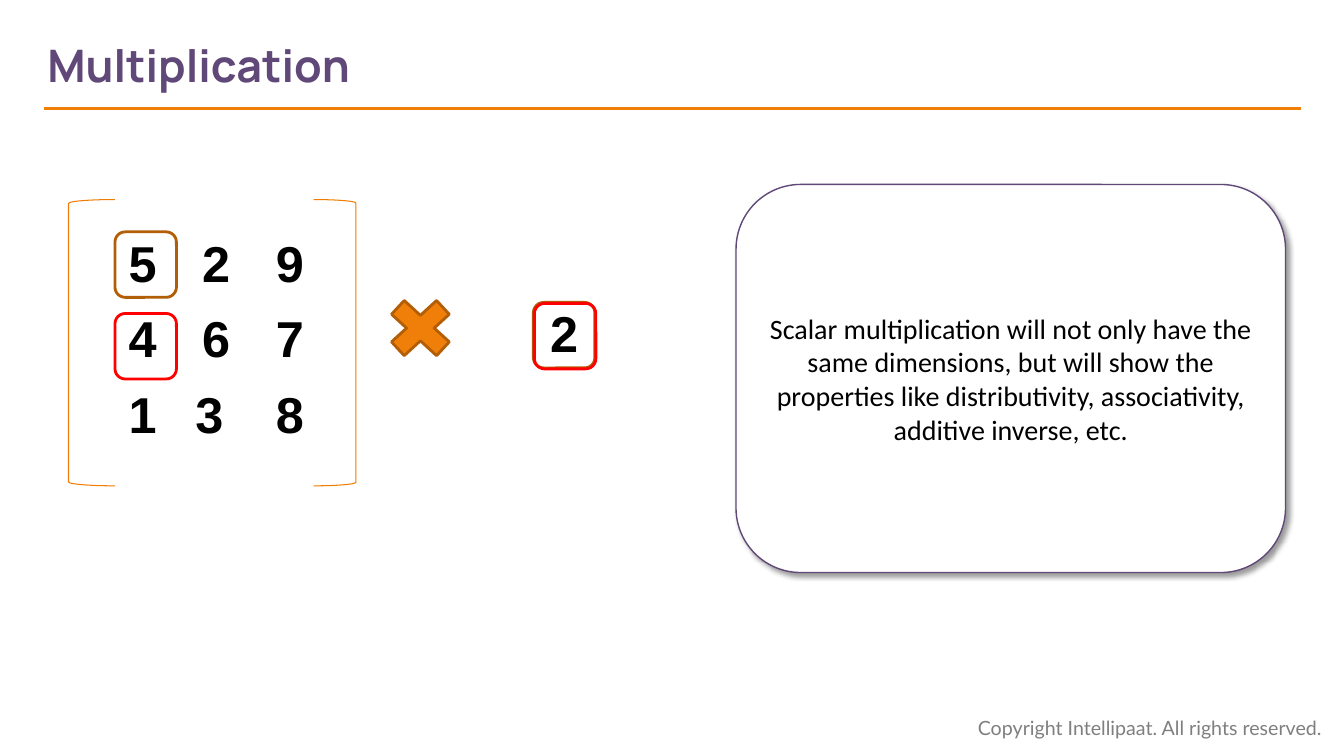
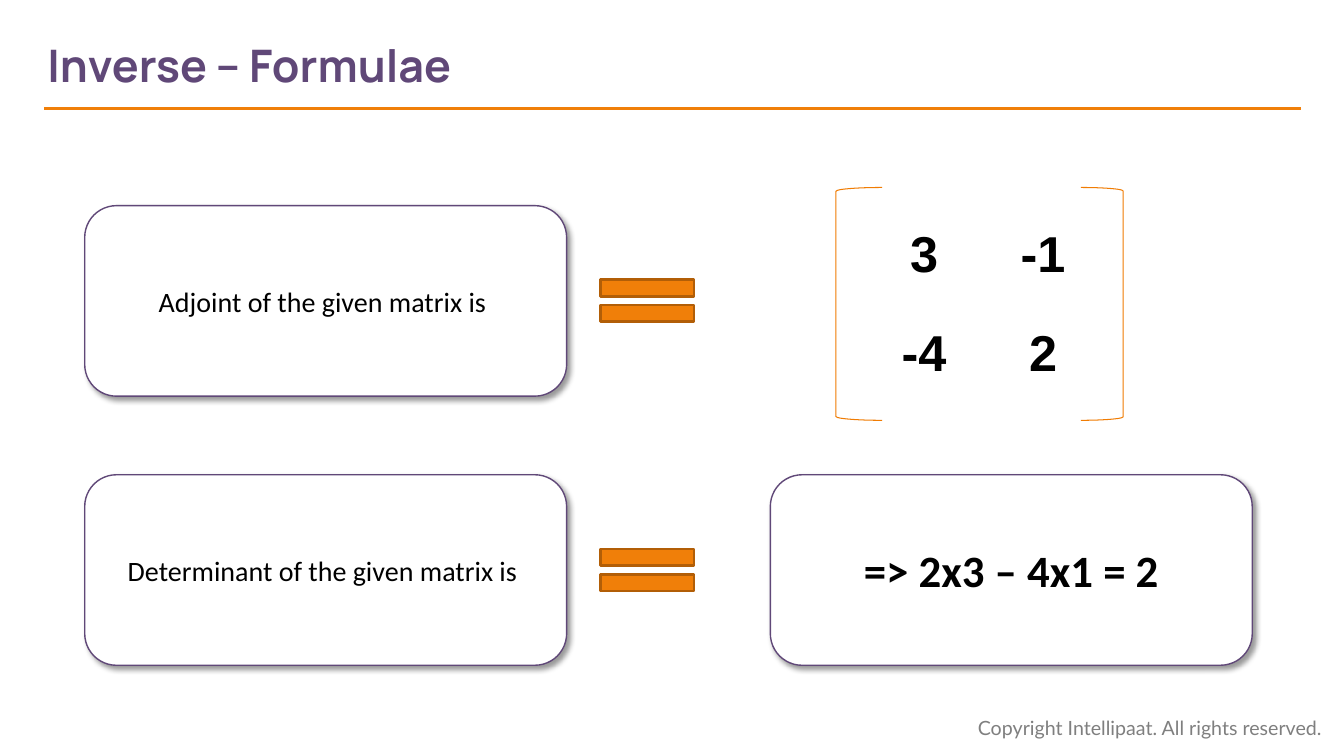
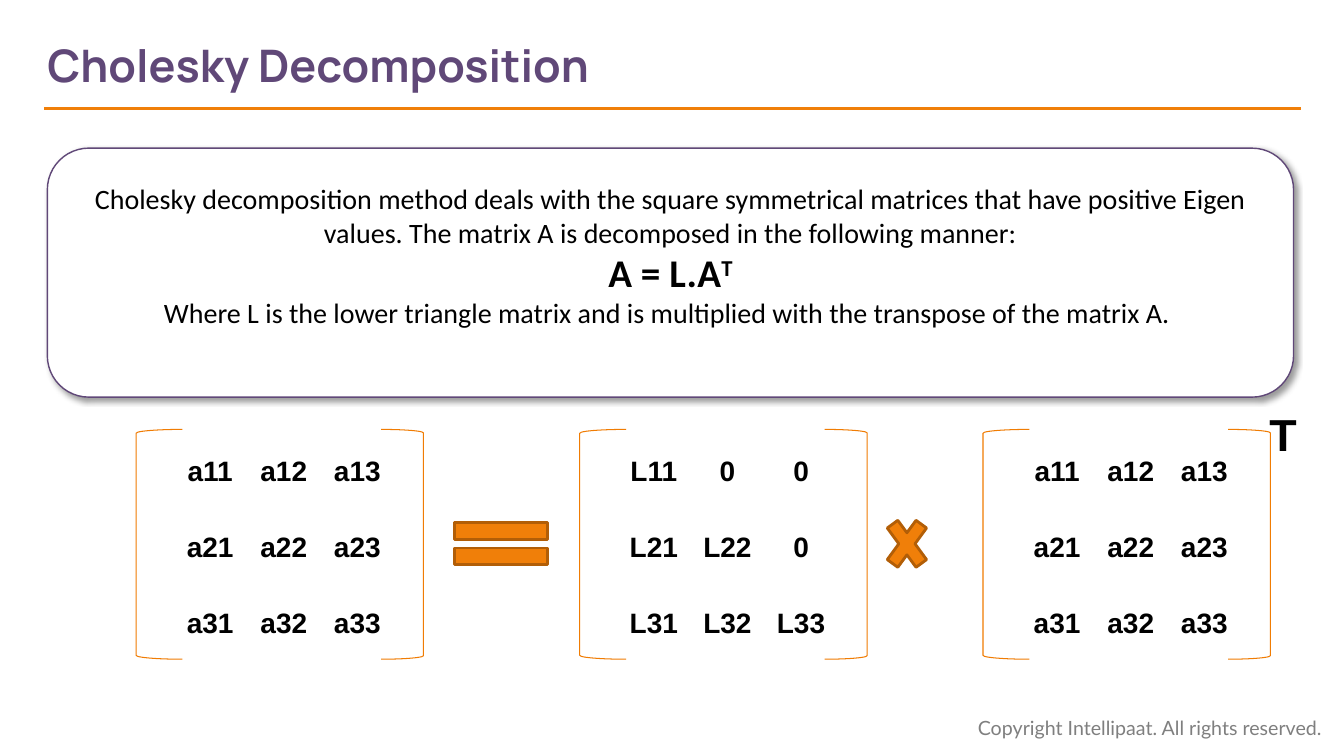
from pptx import Presentation
from pptx import util as u
from pptx.dml.color import RGBColor
from pptx.enum import shapes, text
from pptx.oxml import parse_xml
from pptx.oxml.ns import nsdecls, qn

WIDE, HIGH = 13.33, 7.5
PURPLE, ORANGE, RUST = "604878", "F07F09", "B25E07"
BRACE, RED, GREY, BLACK, WHITE = "F07C03", "FF0000", "7F7F7F", "000000", "FFFFFF"
KIND = shapes.MSO_SHAPE
LEFT, MID = text.PP_ALIGN.LEFT, text.PP_ALIGN.CENTER
FOOTER = "Copyright Intellipaat. All rights reserved."
PLAIN_TABLE = "{2D5ABB26-0587-4C30-8999-92F81FD0307C}"
SHADOW = (
    f'<a:outerShdw {nsdecls("a")} blurRad="50800" dist="38100" dir="2700000" '
    'algn="tl" rotWithShape="0"><a:srgbClr val="000000"><a:alpha val="40000"/>'
    "</a:srgbClr></a:outerShdw>"
)

# Matrices are lists of rows; a paragraph is a list of (text, size, bold, baseline).
NUMBERS = [["5", "2", "9"], ["4", "6", "7"], ["1", "3 ", "8"]]
ADJOINT = [["3", "-1"], ["-4", "2"]]
FULL = [["a11", "a12", "a13"], ["a21", "a22", "a23"], ["a31", "a32 ", "a33"]]
LOWER = [["L11", "0", "0"], ["L21", "L22", "0"], ["L31", "L32 ", "L33"]]

SCALAR = [[("Scalar multiplication will not only have the same dimensions, but will "
            "show the properties like distributivity, associativity, additive "
            "inverse, etc.", 20, False, 0)]]
FORMULAE = ["Adjoint of the given matrix is ", "Determinant of the given matrix is "]
RESULT = [[("=> 2x3 – 4x1 = 2", 32, True, 0)]]
CHOLESKY = [
    [("Cholesky decomposition method deals with the square symmetrical matrices that "
      "have positive Eigen values. The matrix A is decomposed in the following "
      "manner:", 20, False, 0)],
    [("A = L.A", 28, True, 0), ("T", 28, True, 30)],
    [("Where L is the lower triangle matrix and is multiplied with the transpose of "
      "the matrix A. ", 20, False, 0)],
]


def color(code):
    return RGBColor.from_string(code)


def inch(*sizes):
    return [u.Inches(s) for s in sizes]


def write(frame, paras, font, ink, align=LEFT):
    """Fill a text frame with paragraphs, run by run."""
    for i, runs in enumerate(paras):
        para = frame.paragraphs[0] if i == 0 else frame.add_paragraph()
        para.alignment = align
        for words, size, bold, base in runs:
            run = para.add_run()
            run.text = words
            run.font.name, run.font.size, run.font.bold = font, u.Pt(size), bold
            run.font.color.rgb = color(ink)
            if base:
                run.font._element.set("baseline", str(base * 1000))


def label(slide, at, words, size, font, ink, bold=True, align=LEFT,
          anchor=text.MSO_ANCHOR.TOP, inset=0.1):
    frame = slide.shapes.add_textbox(*inch(*at)).text_frame
    frame.word_wrap = True
    frame.vertical_anchor = anchor
    frame.margin_left = u.Inches(inset)
    write(frame, [[(words, size, bold, 0)]], font, ink, align)


def draw(slide, kind, at, line, width, fill=None):
    shape = slide.shapes.add_shape(kind, *inch(*at))
    shape.shadow.inherit = False
    shape.line.color.rgb, shape.line.width = color(line), u.Pt(width)
    if fill:
        shape.fill.solid()
        shape.fill.fore_color.rgb = color(fill)
    else:
        shape.fill.background()
    return shape


def card(slide, at, paras, bottom=0.05):
    """Rounded white panel with a soft shadow and centred text."""
    shape = draw(slide, KIND.ROUNDED_RECTANGLE, at, PURPLE, 1, WHITE)
    shape.element.spPr.find(qn("a:effectLst")).append(parse_xml(SHADOW))
    frame = shape.text_frame
    frame.word_wrap = True
    frame.vertical_anchor = text.MSO_ANCHOR.MIDDLE
    frame.margin_bottom = u.Inches(bottom)
    write(frame, paras, "Calibri", BLACK, MID)


def sign(slide, kind, at):
    draw(slide, kind, at, RUST, 2, ORANGE)


def ring(slide, x, y, line):
    draw(slide, KIND.FLOWCHART_ALTERNATE_PROCESS, (x, y, 0.61, 0.65), line, 2)


def matrix(slide, x, y, high, rows, size, cell, top):
    """Brackets at x, y with a table of square-bracketed values centred inside."""
    span, wide, tall = 2.85, *cell
    draw(slide, KIND.LEFT_BRACKET, (x, y, 0.46, high), BRACE, 0.75)
    draw(slide, KIND.RIGHT_BRACKET, (x + span - 0.42, y, 0.42, high), BRACE, 0.75)
    cols = len(rows[0])
    left = x + (span - cols * wide) / 2 + 0.04
    frame = slide.shapes.add_table(
        len(rows), cols, *inch(left, top, cols * wide, len(rows) * tall))
    frame.element.find(".//" + qn("a:tableStyleId")).text = PLAIN_TABLE
    table = frame.table
    table.first_row = table.horz_banding = False
    for r, row in enumerate(rows):
        for c, words in enumerate(row):
            box = table.cell(r, c)
            box.fill.background()
            box.vertical_anchor = text.MSO_ANCHOR.MIDDLE
            write(box.text_frame, [[(words, size, True, 0)]], "Arial", BLACK, MID)


def start(deck, title):
    """New slide with footer, rule and title."""
    slide = deck.slides.add_slide(deck.slide_layouts[6])
    label(slide, (9.6, 7.05, 3.67, 0.34), FOOTER, 14, "Lato", GREY, False)
    rule = slide.shapes.add_connector(
        shapes.MSO_CONNECTOR.STRAIGHT, *inch(0.44, 1.08, 12.9, 1.08))
    rule.line.color.rgb, rule.line.width = color(ORANGE), u.Pt(2.25)
    rule.element.spPr.append(parse_xml(f'<a:effectLst {nsdecls("a")}/>'))
    label(slide, (0.47, 0.22, 9.47, 0.84), title, 32, "Manrope", PURPLE,
          anchor=text.MSO_ANCHOR.MIDDLE, inset=0)
    return slide


def multiply(deck):
    slide = start(deck, "Multiplication")
    matrix(slide, 0.68, 1.98, 2.84, NUMBERS, 36, (0.73, 0.75), 2.25)
    card(slide, (7.3, 1.83, 5.45, 3.85), SCALAR)
    sign(slide, KIND.MATH_MULTIPLY, (3.74, 2.86, 0.86, 0.79))
    label(slide, (5.11, 2.94, 0.97, 0.71), "2", 36, "Arial", BLACK, align=MID,
          anchor=text.MSO_ANCHOR.MIDDLE)
    for x, y, line in [(1.14, 2.3, RUST), (5.29, 3, RUST),
                       (1.14, 3.11, RED), (5.3, 3.01, RED)]:
        ring(slide, x, y, line)


def inverse(deck):
    slide = start(deck, "Inverse – Formulae")
    size, first, pitch = (4.78, 1.89), 2.04, 2.67
    for i, words in enumerate(FORMULAE):
        y = first + i * pitch
        card(slide, (0.84, y, *size), [[(words, 20, False, 0)]])
        sign(slide, KIND.MATH_EQUAL, (5.79, y + 0.59, 1.26, 0.71))
    matrix(slide, 8.29, 1.86, 2.31, ADJOINT, 36, (1.18, 0.98), first)
    card(slide, (7.64, first + pitch, *size), RESULT)


def cholesky(deck):
    slide = start(deck, "Cholesky Decomposition")
    card(slide, (0.47, 1.47, 12.36, 2.47), CHOLESKY, bottom=0.39)
    for x, rows in [(1.35, FULL), (5.75, LOWER), (9.75, FULL)]:
        matrix(slide, x, 4.26, 2.28, rows, 20, (0.73, 0.75), 4.31)
    sign(slide, KIND.MATH_EQUAL, (4.34, 5.04, 1.26, 0.71))
    sign(slide, KIND.MATH_MULTIPLY, (8.72, 5.02, 0.55, 0.75))
    label(slide, (12.49, 3.99, 0.69, 0.64), "T", 32, "Arial", BLACK)


def main():
    deck = Presentation()
    deck.slide_width, deck.slide_height = inch(WIDE, HIGH)
    for build in (multiply, inverse, cholesky):
        build(deck)
    deck.save("out.pptx")


if __name__ == "__main__":
    main()
